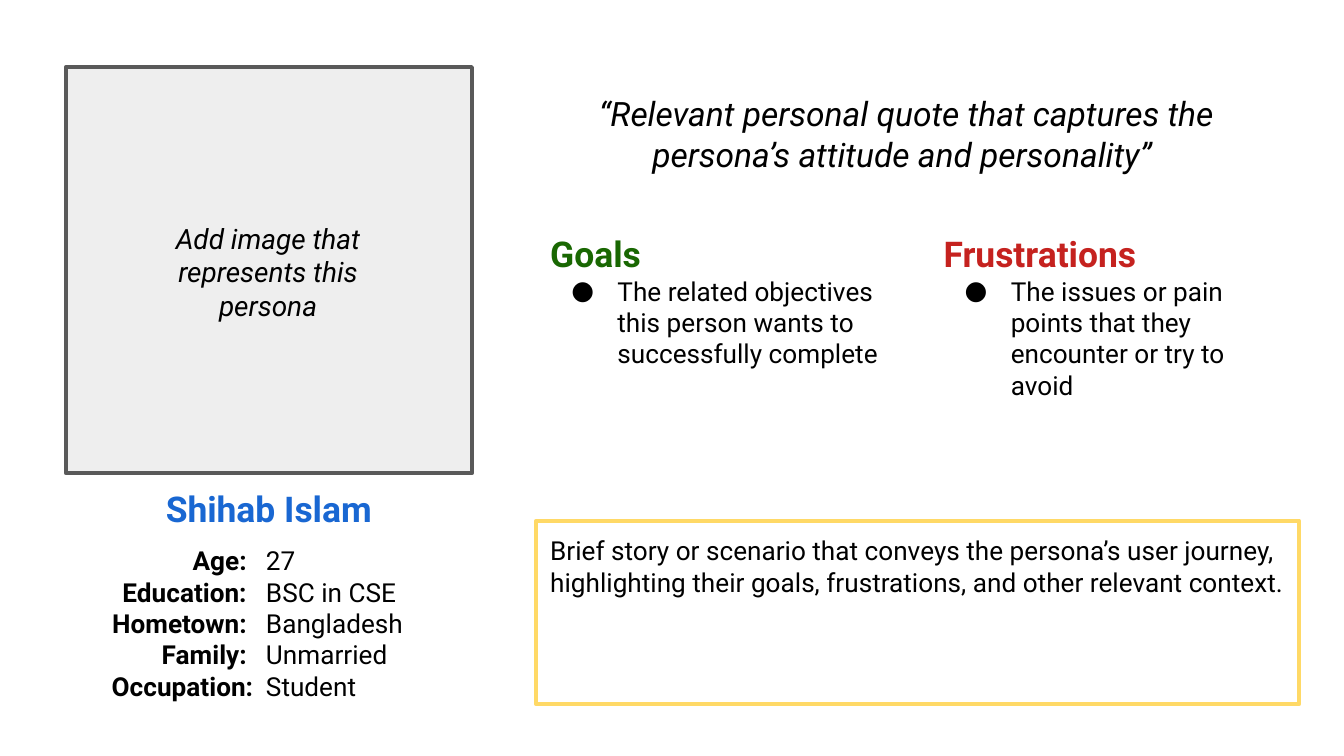
from dataclasses import dataclass
from lxml.etree import SubElement
from pptx import Presentation
from pptx.dml.color import RGBColor
from pptx.enum.shapes import MSO_SHAPE as Preset
from pptx.enum.text import MSO_ANCHOR as Anchor, MSO_AUTO_SIZE as AutoSize, PP_ALIGN as Align
from pptx.oxml.ns import qn
from pptx.util import Pt

PX = 9525


@dataclass(frozen=True)
class Theme:
    font: str = "Roboto"
    black: str = "000000"
    name: str = "1967D2"
    goals: str = "196702"
    frustrations: str = "C5221F"
    photo_fill: str = "EEEEEE"
    photo_line: str = "595959"
    story_line: str = "FFD966"
    heading_size: int = 19
    quote_size: int = 18
    hint_size: int = 15
    body_size: int = 14
    line_width: float = 2.25


theme = Theme()


def place(shape, box, anchor=Anchor.TOP):
    shape.left, shape.top, shape.width, shape.height = [length * PX for length in box]
    frame = shape.text_frame
    frame.word_wrap = True
    frame.auto_size = AutoSize.NONE
    frame.vertical_anchor = anchor
    frame.margin_left = frame.margin_right = frame.margin_top = frame.margin_bottom = 10 * PX
    return frame


def write(frame, text, size, color=theme.black, bold=False, italic=False, align=Align.LEFT):
    paragraph = frame.paragraphs[0] if not frame.text else frame.add_paragraph()
    paragraph.alignment = align
    paragraph.space_before = Pt(0)
    run = paragraph.add_run()
    run.text = text
    run.font.name = theme.font
    run.font.size = Pt(size)
    run.font.bold = bold
    run.font.italic = italic
    run.font.color.rgb = RGBColor.from_string(color)
    return paragraph


presentation = Presentation()
presentation.slide_width = 960 * PX
presentation.slide_height = 540 * PX
slide = presentation.slides.add_slide(presentation.slide_layouts[3])
shapes = slide.shapes

panels = [
    ((47, 48, 290, 290), theme.photo_fill, theme.photo_line),
    ((383, 372, 545, 131), None, theme.story_line),
]
for box, fill, line in panels:
    panel = shapes.add_shape(Preset.RECTANGLE, *[length * PX for length in box])
    panel.shadow.inherit = False
    if fill:
        panel.fill.solid()
        panel.fill.fore_color.rgb = RGBColor.from_string(fill)
    else:
        panel.fill.background()
    panel.line.color.rgb = RGBColor.from_string(line)
    panel.line.width = Pt(theme.line_width)

story = place(panel, box)
write(
    story,
    "Brief story or scenario that conveys the persona’s user journey, "
    "highlighting their goals, frustrations, and other relevant context.",
    theme.body_size,
)

name = place(shapes.title, (47, 338, 290, 50))
write(name, "Shihab Islam", theme.heading_size, theme.name, bold=True, align=Align.CENTER)

facts = [
    ("Age: ", "27"),
    ("Education: ", "BSC in CSE"),
    ("Hometown: ", "Bangladesh"),
    ("Family: ", "Unmarried"),
    ("Occupation:", "Student"),
]
labels = place(shapes.add_textbox(0, 0, 0, 0), (34, 379, 157, 128))
values = place(shapes.add_textbox(0, 0, 0, 0), (180, 379, 191, 128))
for label, value in facts:
    write(labels, label, theme.body_size, bold=True, align=Align.RIGHT)
    write(values, value, theme.body_size)

notes = [
    (
        (383, 48, 529, 95),
        "“Relevant personal quote that captures the persona’s attitude and personality” ",
        theme.quote_size,
    ),
    ((104, 152, 175, 84), "Add image that represents this persona", theme.hint_size),
]
for box, text, size in notes:
    note = place(shapes.add_textbox(0, 0, 0, 0), box, Anchor.MIDDLE)
    write(note, text, size, italic=True, align=Align.CENTER)

columns = [
    (1, 383, "Goals ", theme.goals,
     "The related objectives this person wants to successfully complete"),
    (2, 664, "Frustrations ", theme.frustrations,
     "The issues or pain points that they encounter or try to avoid"),
]
for index, left, heading, color, text in columns:
    column = place(slide.placeholders[index], (left, 156, 265, 203))
    title = write(column, heading, theme.heading_size, color, bold=True)
    properties = title._p.get_or_add_pPr()
    properties.set("marL", "0")
    properties.set("indent", "0")
    SubElement(properties, qn("a:buNone"))

    item = write(column, text, theme.body_size)
    properties = item._p.get_or_add_pPr()
    properties.set("marL", str(48 * PX))
    properties.set("indent", str(-33 * PX))
    bullet_color = SubElement(properties, qn("a:buClr"))
    SubElement(bullet_color, qn("a:srgbClr"), val=theme.black)
    SubElement(properties, qn("a:buFont"), typeface=theme.font)
    SubElement(properties, qn("a:buChar"), char="●")

presentation.save("out.pptx")
